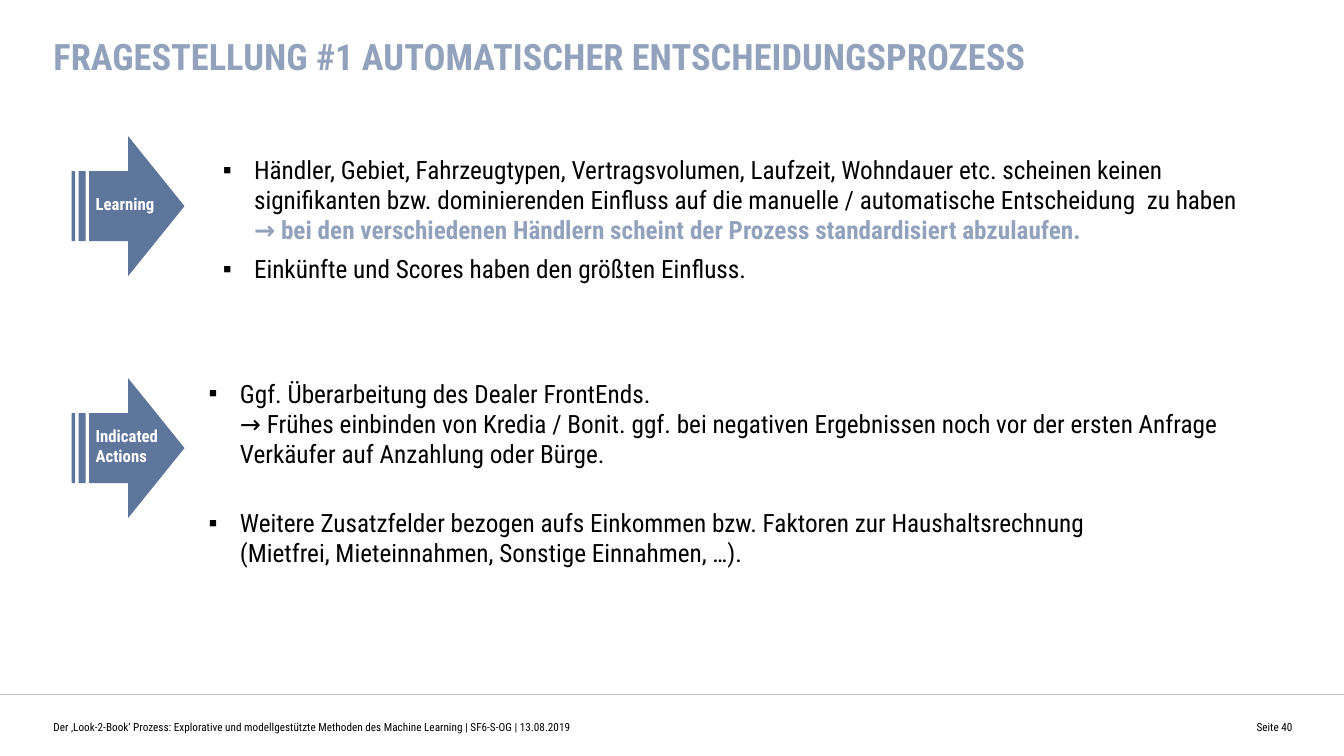
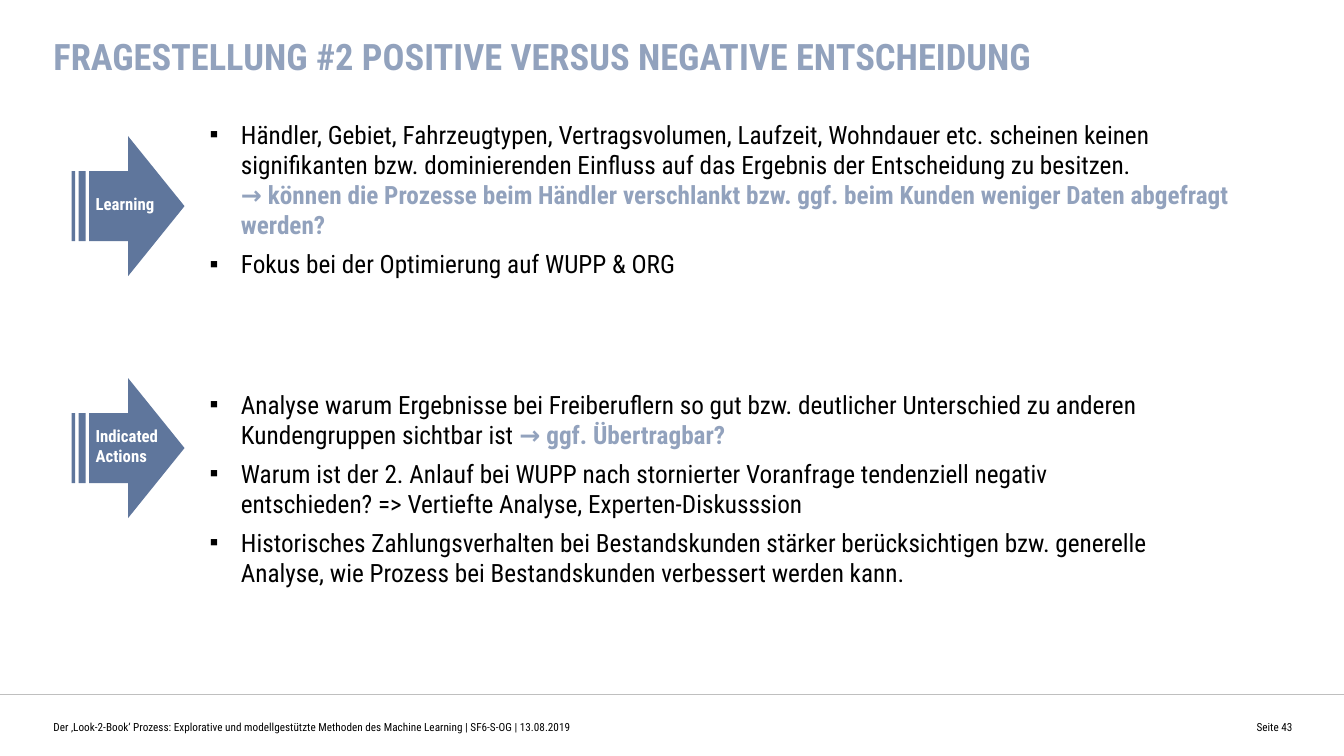
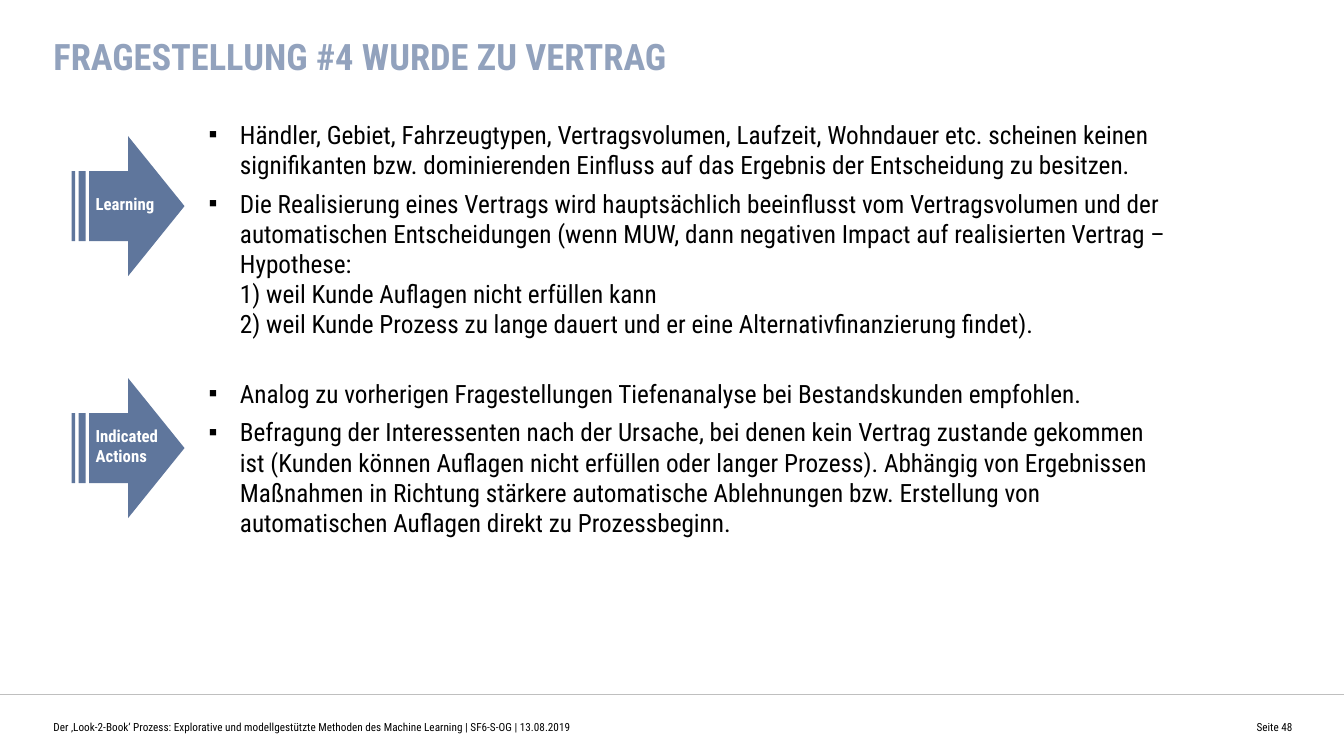
from copy import deepcopy
from dataclasses import dataclass

from lxml import etree
from pptx import Presentation
from pptx.dml.color import RGBColor
from pptx.enum import shapes, text
from pptx.oxml import ns
from pptx.util import Inches, Pt

FONT = "Roboto Condensed"
BLACK = RGBColor(0x00, 0x00, 0x00)
WHITE = RGBColor(0xFF, 0xFF, 0xFF)
RULE_GREY = RGBColor(0xBF, 0xBF, 0xBF)
TITLE_BLUE = RGBColor(0x92, 0xA2, 0xBD)
ARROW_BLUE = RGBColor(0x5F, 0x76, 0x9C)

FOOTER = ("Der ‚Look-2-Book‘ Prozess: Explorative und modellgestützte Methoden "
          "des Machine Learning | SF6-S-OG | 13.08.2019")
LAYOUT_TWO_CONTENT = 3
INDENT = Inches(0.31)


@dataclass
class Bullet:
    text: str
    accent: str = ""
    after: float = 6


@dataclass
class BulletList:
    box: tuple
    bullets: list


@dataclass
class Question:
    title: str
    page: int
    learning: BulletList
    actions: BulletList


NO_INFLUENCE = ("Händler, Gebiet, Fahrzeugtypen, Vertragsvolumen, Laufzeit, Wohndauer etc. "
                "scheinen keinen signifikanten bzw. dominierenden Einfluss auf ")
ON_RESULT = NO_INFLUENCE + "das Ergebnis der Entscheidung zu besitzen."

QUESTIONS = [
    Question(
        "FRAGESTELLUNG #1 AUTOMATISCHER ENTSCHEIDUNGSPROZESS", 40,
        BulletList((2.21, 1.53, 10.51, 1.3), [
            Bullet(NO_INFLUENCE + "die manuelle / automatische Entscheidung  zu haben\n",
                   "→ bei den verschiedenen Händlern scheint der Prozess "
                   "standardisiert abzulaufen."),
            Bullet("Einkünfte und Scores haben den größten Einfluss."),
        ]),
        BulletList((2.07, 3.75, 10.14, 1.9), [
            Bullet("Ggf. Überarbeitung des Dealer FrontEnds.\n"
                   "→ Frühes einbinden von Kredia / Bonit. ggf. bei negativen Ergebnissen noch "
                   "vor der ersten Anfrage Verkäufer auf Anzahlung oder Bürge.", after=27.5),
            Bullet("Weitere Zusatzfelder bezogen aufs Einkommen bzw. Faktoren zur "
                   "Haushaltsrechnung\n(Mietfrei, Mieteinnahmen, Sonstige Einnahmen, …)."),
        ])),
    Question(
        "FRAGESTELLUNG #2 POSITIVE VERSUS NEGATIVE ENTSCHEIDUNG", 43,
        BulletList((2.08, 1.18, 10.25, 1.99), [
            Bullet(ON_RESULT + "\n",
                   "→ können die Prozesse beim Händler verschlankt bzw. ggf. beim Kunden "
                   "weniger Daten abgefragt werden?"),
            Bullet("Fokus bei der Optimierung auf WUPP & ORG"),
        ]),
        BulletList((2.08, 3.86, 9.48, 1.99), [
            Bullet("Analyse warum Ergebnisse bei Freiberuflern so gut bzw. deutlicher "
                   "Unterschied zu anderen Kundengruppen sichtbar ist ",
                   "→ ggf. Übertragbar?"),
            Bullet("Warum ist der 2. Anlauf bei WUPP nach stornierter Voranfrage tendenziell "
                   "negativ entschieden? => Vertiefte Analyse, Experten-Diskusssion"),
            Bullet("Historisches Zahlungsverhalten bei Bestandskunden stärker berücksichtigen "
                   "bzw. generelle Analyse, wie Prozess bei Bestandskunden verbessert "
                   "werden kann."),
        ])),
    Question(
        "FRAGESTELLUNG #4 WURDE ZU VERTRAG", 48,
        BulletList((2.07, 1.18, 9.97, 2.2), [
            Bullet(ON_RESULT),
            Bullet("Die Realisierung eines Vertrags wird hauptsächlich beeinflusst vom "
                   "Vertragsvolumen und der automatischen Entscheidungen (wenn MUW, dann "
                   "negativen Impact auf realisierten Vertrag –\nHypothese:\n"
                   "1) weil Kunde Auflagen nicht erfüllen kann\n"
                   "2) weil Kunde Prozess zu lange dauert und er eine "
                   "Alternativfinanzierung findet)."),
        ]),
        BulletList((2.07, 3.75, 9.48, 1.6), [
            Bullet("Analog zu vorherigen Fragestellungen Tiefenanalyse bei Bestandskunden "
                   "empfohlen."),
            Bullet("Befragung der Interessenten nach der Ursache, bei denen kein Vertrag "
                   "zustande gekommen ist (Kunden können Auflagen nicht erfüllen oder langer "
                   "Prozess). Abhängig von Ergebnissen Maßnahmen in Richtung stärkere "
                   "automatische Ablehnungen bzw. Erstellung von automatischen Auflagen "
                   "direkt zu Prozessbeginn."),
        ])),
]


def add_runs(p, content, size, color, bold=False):
    """Add text to a paragraph; each newline becomes a line break of the same size."""
    for i, line in enumerate(content.split("\n")):
        if i:
            p.add_line_break()
            p._p[-1].append(deepcopy(r._r.rPr))
        if line:
            r = p.add_run()
            r.text = line
            r.font.name, r.font.size, r.font.bold = FONT, Pt(size), bold
            r.font.color.rgb = color


def setup_frame(sp, anchor=text.MSO_ANCHOR.TOP, inset=0.0):
    tf = sp.text_frame
    tf.word_wrap = True
    tf.auto_size = text.MSO_AUTO_SIZE.NONE
    tf.vertical_anchor = anchor
    tf.margin_left = tf.margin_right = Inches(inset)
    tf.margin_top = tf.margin_bottom = Inches(inset / 2)
    return tf


def place(sp, box):
    sp.left, sp.top, sp.width, sp.height = map(Inches, box)


def set_title(s, title):
    sp = s.shapes.title
    place(sp, (0.53, 0.38, 12.28, 0.77))
    p = setup_frame(sp).paragraphs[0]
    p.alignment = text.PP_ALIGN.LEFT
    p.line_spacing = 0.93
    add_runs(p, title, 26, TITLE_BLUE, bold=True)


def add_footer_text(s, box, content, align):
    sp = s.shapes.add_textbox(*map(Inches, box))
    p = setup_frame(sp, text.MSO_ANCHOR.MIDDLE).paragraphs[0]
    p.alignment = align
    add_runs(p, content, 8, BLACK)


def add_footer(s, page):
    y = Inches(6.89)
    rule = s.shapes.add_connector(shapes.MSO_CONNECTOR.STRAIGHT, 0, y, Inches(13.33), y)
    rule.line.color.rgb = RULE_GREY
    rule.line.width = Pt(1)
    etree.SubElement(rule._element.spPr, ns.qn("a:effectLst"))
    add_footer_text(s, (0.53, 7.01, 9.24, 0.4), FOOTER, text.PP_ALIGN.LEFT)
    add_footer_text(s, (11.99, 7.01, 0.83, 0.4), f"Seite {page}", text.PP_ALIGN.RIGHT)


def add_arrow(s, top, label_box, lines):
    arrow = s.shapes.add_shape(shapes.MSO_SHAPE.STRIPED_RIGHT_ARROW,
                               *map(Inches, (0.71, top, 1.12, 1.39)))
    arrow.shadow.inherit = False
    arrow.fill.solid()
    arrow.fill.fore_color.rgb = ARROW_BLUE
    arrow.line.fill.background()
    tf = setup_frame(s.shapes.add_textbox(*map(Inches, label_box)), inset=0.1)
    tf.word_wrap = False
    for i, line in enumerate(lines):
        p = tf.add_paragraph() if i else tf.paragraphs[0]
        add_runs(p, line, 12, WHITE, bold=True)


def set_square_bullet(p):
    pPr = p._p.get_or_add_pPr()
    pPr.set("marL", str(INDENT))
    pPr.set("indent", str(-INDENT))
    etree.SubElement(pPr, ns.qn("a:buFont"), typeface="Arial")
    etree.SubElement(pPr, ns.qn("a:buChar"), char="▪")


def fill_list(sp, content):
    place(sp, content.box)
    tf = setup_frame(sp)
    for i, bullet in enumerate(content.bullets):
        p = tf.add_paragraph() if i else tf.paragraphs[0]
        set_square_bullet(p)
        p.space_before, p.space_after = Pt(0), Pt(bullet.after)
        add_runs(p, bullet.text, 18, BLACK)
        if bullet.accent:
            add_runs(p, bullet.accent, 18, TITLE_BLUE, bold=True)


def add_question(prs, question):
    s = prs.slides.add_slide(prs.slide_layouts[LAYOUT_TWO_CONTENT])
    add_footer(s, question.page)
    set_title(s, question.title)
    add_arrow(s, 1.35, (0.85, 1.87, 0.81, 0.3), ["Learning"])
    add_arrow(s, 3.75, (0.85, 4.17, 0.85, 0.5), ["Indicated", "Actions"])
    fill_list(s.placeholders[1], question.learning)
    fill_list(s.placeholders[2], question.actions)


def main():
    prs = Presentation()
    prs.slide_width, prs.slide_height = Inches(13.33), Inches(7.5)
    for question in QUESTIONS:
        add_question(prs, question)
    prs.save("out.pptx")


if __name__ == "__main__":
    main()
